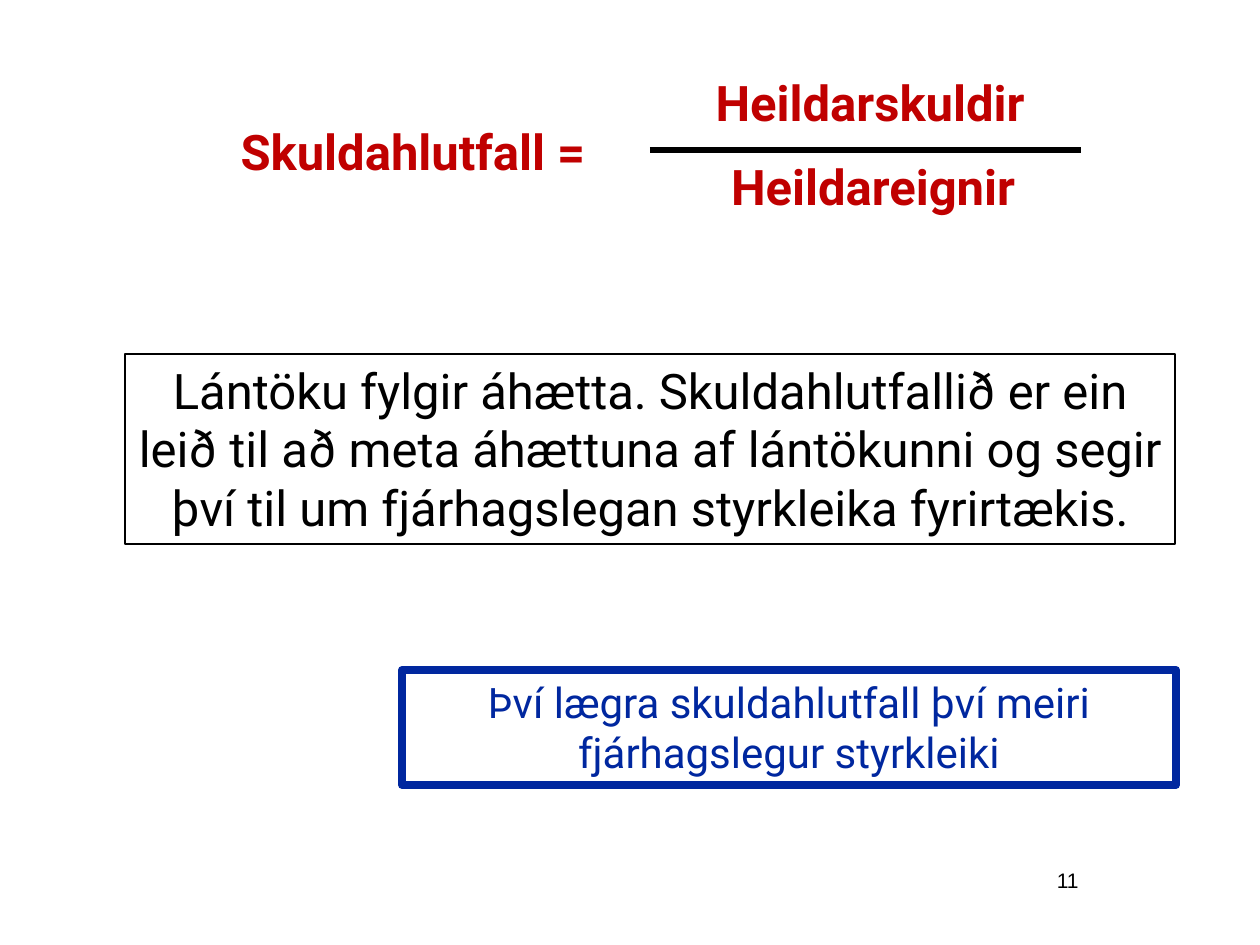
from lxml import etree
from pptx import Presentation
from pptx import util as u
from pptx.dml.color import RGBColor
from pptx.enum import shapes, text
from pptx.oxml import ns

PX = u.Inches(1) / 126
COLORS = {"red": "C00000", "blue": "00279F", "black": "000000", "white": "FFFFFF"}
CENTER, LEFT, RIGHT = text.PP_ALIGN.CENTER, text.PP_ALIGN.LEFT, text.PP_ALIGN.RIGHT
TOP, MIDDLE = text.MSO_ANCHOR.TOP, text.MSO_ANCHOR.MIDDLE
FORMULA = {"name": "Roboto", "size": u.Pt(28), "bold": True}
STATEMENT = {"name": "Roboto", "size": u.Pt(28)}
CONCLUSION = {"name": "Roboto", "size": u.Pt(24)}
PAGE = {"name": "Arial", "size": u.Pt(12)}


def px(*lengths):
    """Turn pixel lengths into EMU."""
    return [round(length * PX) for length in lengths]


def rgb(color):
    """Look up a colour of the palette."""
    return RGBColor.from_string(COLORS[color])


def write(holder, words, font, color, align=CENTER, anchor=TOP):
    """Fill a text holder with one formatted paragraph."""
    frame = holder.text_frame
    layout = {"word_wrap": True, "auto_size": text.MSO_AUTO_SIZE.NONE,
              "vertical_anchor": anchor}
    for key, value in layout.items():
        setattr(frame, key, value)
    paragraph = frame.paragraphs[0]
    paragraph.alignment = align
    run = paragraph.add_run()
    run.text = words
    for key, value in font.items():
        setattr(run.font, key, value)
    run.font.color.rgb = rgb(color)


def add_title(slide, box, words):
    """Move the title placeholder and write the formula's left side."""
    title = slide.shapes.title
    for key, value in zip(("left", "top", "width", "height"), px(*box)):
        setattr(title, key, value)
    write(title, words, FORMULA, "red", LEFT, MIDDLE)


def add_label(parent, box, words, font, color, align=CENTER):
    """Add a text box to a slide or group."""
    write(parent.shapes.add_textbox(*px(*box)), words, font, color, align)


def add_rule(parent, x1, x2, y, width):
    """Add a horizontal black line."""
    rule = parent.shapes.add_connector(shapes.MSO_CONNECTOR.STRAIGHT, *px(x1, y, x2, y))
    rule.line.color.rgb = rgb("black")
    rule.line.width = u.Pt(width)
    etree.SubElement(rule._element.spPr, ns.qn("a:effectLst"))


def add_frame(slide, box, words, font, color, width, fill=None):
    """Add a framed statement with matching line and text colour."""
    frame = slide.shapes.add_shape(shapes.MSO_SHAPE.RECTANGLE, *px(*box))
    frame.shadow.inherit = False
    if fill:
        frame.fill.solid()
        frame.fill.fore_color.rgb = rgb(fill)
    else:
        frame.fill.background()
    frame.line.color.rgb = rgb(color)
    frame.line.width = u.Pt(width)
    write(frame, words, font, color)


def main():
    """Build the debt ratio slide."""
    deck = Presentation()
    deck.slide_width, deck.slide_height = px(1260, 945)
    slide = deck.slides.add_slide(deck.slide_layouts[5])

    add_label(slide, (829, 861, 262, 63), "11", PAGE, "black", RIGHT)
    add_title(slide, (228, 102, 1032, 97), "Skuldahlutfall =")

    fraction = slide.shapes.add_group_shape()
    add_label(fraction, (679, 66, 382, 72), "Heildarskuldir", FORMULA, "red")
    add_label(fraction, (650, 150, 446, 72), "Heildareignir", FORMULA, "red")
    add_rule(fraction, 650, 1081, 150, 3)

    add_frame(slide, (125, 354, 1050, 190),
              "Lántöku fylgir áhætta. Skuldahlutfallið er ein leið til að meta "
              "áhættuna af lántökunni og segir því til um fjárhagslegan "
              "styrkleika fyrirtækis.", STATEMENT, "black", 0.75, "white")
    add_frame(slide, (402, 670, 774, 115),
              "Því lægra skuldahlutfall því meiri fjárhagslegur styrkleiki",
              CONCLUSION, "blue", 4.5)
    deck.save("out.pptx")


if __name__ == "__main__":
    main()
